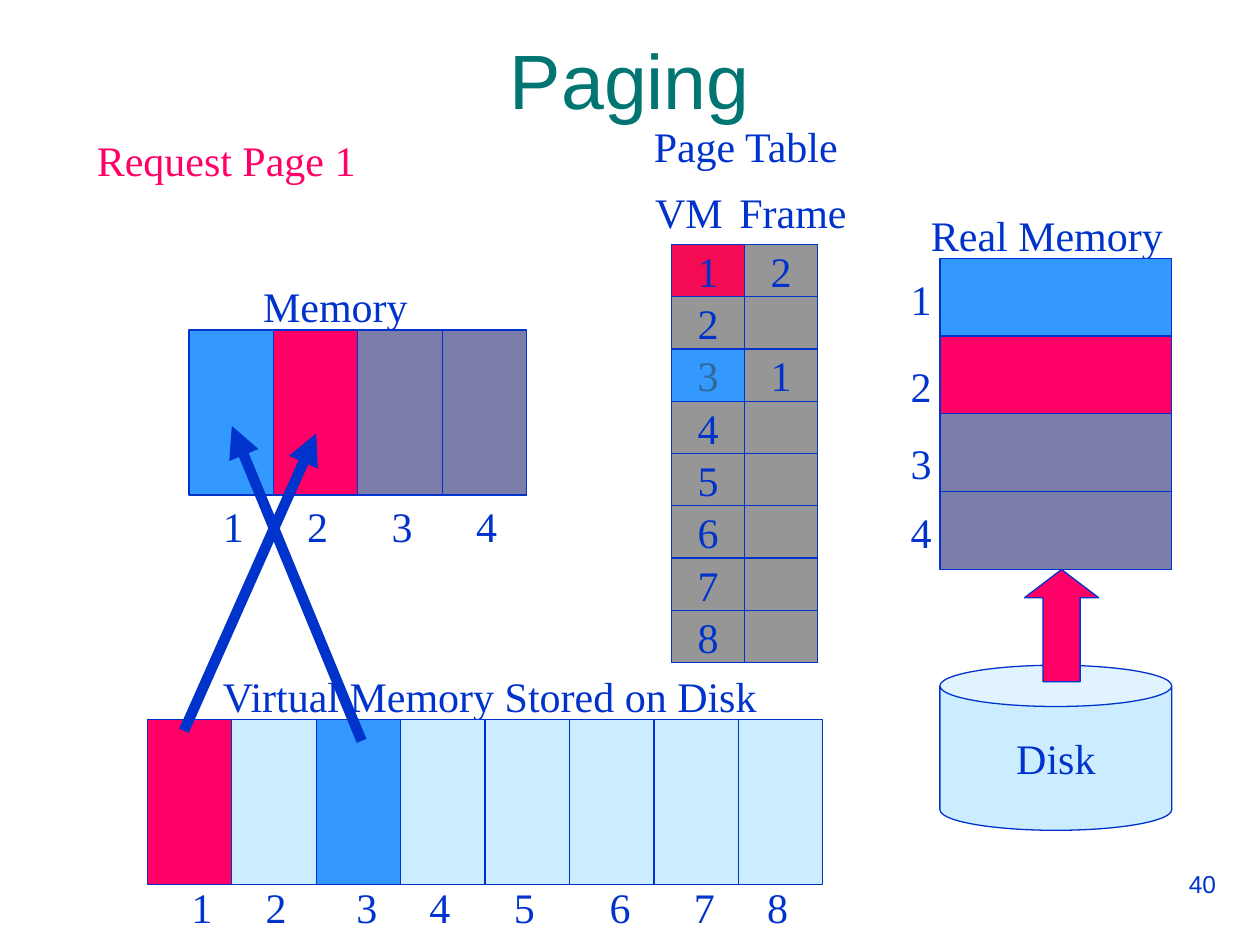
from lxml.etree import SubElement
from pptx import Presentation
from pptx.dml.color import RGBColor
from pptx.enum.shapes import MSO_CONNECTOR, MSO_SHAPE
from pptx.enum.text import MSO_ANCHOR, PP_ALIGN
from pptx.oxml.ns import qn
from pptx.util import Inches, Pt

COLORS = {
    "ink": "0033CC", "title": "007572", "muted": "336699",
    "red": "FF0066", "table red": "F50B53", "blue": "3399FF",
    "purple": "7D7DA9", "pale": "CCECFF", "gray": "969696",
}

# text, left, top, width, color
CAPTIONS = [
    ("Request Page 1", 0.67, 1.02, 2.4, "red"),
    ("Memory", 1.99, 2.18, 1.4, "ink"),
    ("Virtual Memory Stored on Disk", 1.67, 5.27, 4.5, "ink"),
    ("Page Table", 5.09, 0.91, 1.75, "ink"),
    ("VM", 5.1, 1.43, 0.85, "ink"),
    ("Frame", 5.77, 1.43, 1.1, "ink"),
    ("Real Memory", 7.29, 1.61, 2.1, "ink"),
]

# Each strip: first cell (left, top, width, height), step (x, y), cell fills, label positions
STRIPS = [
    ((1.5, 2.62, 0.67, 1.31), (0.67, 0), ["blue", "red", "purple", "purple"],
     [(1.67 + 0.67 * i, 3.92) for i in range(4)]),
    ((1.17, 5.71, 0.67, 1.31), (0.67, 0), ["red", "pale", "blue"] + ["pale"] * 5,
     [(left, 6.95) for left in (1.42, 2.01, 2.73, 3.31, 3.98, 4.74, 5.41, 5.99)]),
    ((7.46, 2.05, 1.84, 0.62), (0, 0.617), ["blue", "red", "purple", "purple"],
     [(7.13, top) for top in (2.12, 2.81, 3.42, 3.97)]),
]

PAGE_COUNT = 8
FRAMES = {1: "2", 3: "1"}
PAGE_STYLES = {1: ("table red", "ink"), 3: ("blue", "muted")}
TABLE_LEFT, TABLE_TOP, CELL_WIDTH, CELL_HEIGHT = 5.33, 1.94, 0.58, 0.415

# Page on disk to frame in memory
ARROWS = [((2.87, 5.88), (1.84, 3.38)), ((1.46, 5.8), (2.51, 3.44))]


def color(name):
    return RGBColor.from_string(COLORS[name])


def write(shape, text, tint="ink", size=24, font="Times New Roman",
          align=PP_ALIGN.LEFT, anchor=MSO_ANCHOR.TOP, wrap=False):
    frame = shape.text_frame
    frame.word_wrap = wrap
    frame.vertical_anchor = anchor
    para = frame.paragraphs[0]
    para.alignment = align
    span = para.add_run()
    span.text = text
    span.font.size = Pt(size)
    span.font.name = font
    span.font.color.rgb = color(tint)


def add_text(page, text, left, top, width, height=0.5, **style):
    box = page.shapes.add_textbox(*map(Inches, (left, top, width, height)))
    write(box, text, **style)


def add_block(page, kind, place, fill, text="", tint="ink"):
    block = page.shapes.add_shape(kind, *map(Inches, place))
    block.shadow.inherit = False
    block.fill.solid()
    block.fill.fore_color.rgb = color(fill)
    block.line.color.rgb = color("ink")
    block.line.width = Pt(0.75)
    if text:
        write(block, text, tint, align=PP_ALIGN.CENTER, anchor=MSO_ANCHOR.MIDDLE)
    return block


def add_strip(page, first_cell, step, fills, label_places):
    left, top, width, height = first_cell
    for i, (fill, label_place) in enumerate(zip(fills, label_places)):
        place = (left + i * step[0], top + i * step[1], width, height)
        add_block(page, MSO_SHAPE.RECTANGLE, place, fill)
        add_text(page, str(i + 1), *label_place, 0.36)


def add_page_table(page):
    for number in range(1, PAGE_COUNT + 1):
        top = TABLE_TOP + (number - 1) * CELL_HEIGHT
        fill, tint = PAGE_STYLES.get(number, ("gray", "ink"))
        cells = [(str(number), fill, tint), (FRAMES.get(number, ""), "gray", "ink")]
        for column, (text, cell_fill, cell_tint) in enumerate(cells):
            place = (TABLE_LEFT + column * CELL_WIDTH, top, CELL_WIDTH, CELL_HEIGHT)
            add_block(page, MSO_SHAPE.RECTANGLE, place, cell_fill, text, cell_tint)


def add_arrow(page, start, end):
    arrow = page.shapes.add_connector(MSO_CONNECTOR.STRAIGHT, *map(Inches, start + end))
    arrow.line.color.rgb = color("ink")
    arrow.line.width = Pt(6)
    SubElement(arrow.line._get_or_add_ln(), qn("a:tailEnd"), type="triangle")
    SubElement(arrow._element.spPr, qn("a:effectLst"))


def main():
    deck = Presentation()
    deck.slide_width, deck.slide_height = Inches(10), Inches(7.5)
    page = deck.slides.add_slide(deck.slide_layouts[6])

    add_text(page, "Paging", 0.75, 0, 8.5, 1.25, tint="title", size=44, font="Arial",
             align=PP_ALIGN.CENTER, anchor=MSO_ANCHOR.MIDDLE, wrap=True)
    add_text(page, "40", 7.25, 6.85, 2.5, 0.52, size=14, font="Arial",
             align=PP_ALIGN.RIGHT, wrap=True)
    for text, left, top, width, tint in CAPTIONS:
        add_text(page, text, left, top, width, tint=tint)
    for strip in STRIPS:
        add_strip(page, *strip)
    add_page_table(page)

    disk = add_block(page, MSO_SHAPE.CAN, (7.46, 5.28, 1.84, 1.31), "pale", "Disk")
    disk.adjustments[0] = 0.25
    load = add_block(page, MSO_SHAPE.UP_ARROW, (8.13, 4.52, 0.59, 0.89), "red")
    load.adjustments[0], load.adjustments[1] = 0.5, 0.38
    for start, end in ARROWS:
        add_arrow(page, start, end)

    deck.save("out.pptx")


if __name__ == "__main__":
    main()
